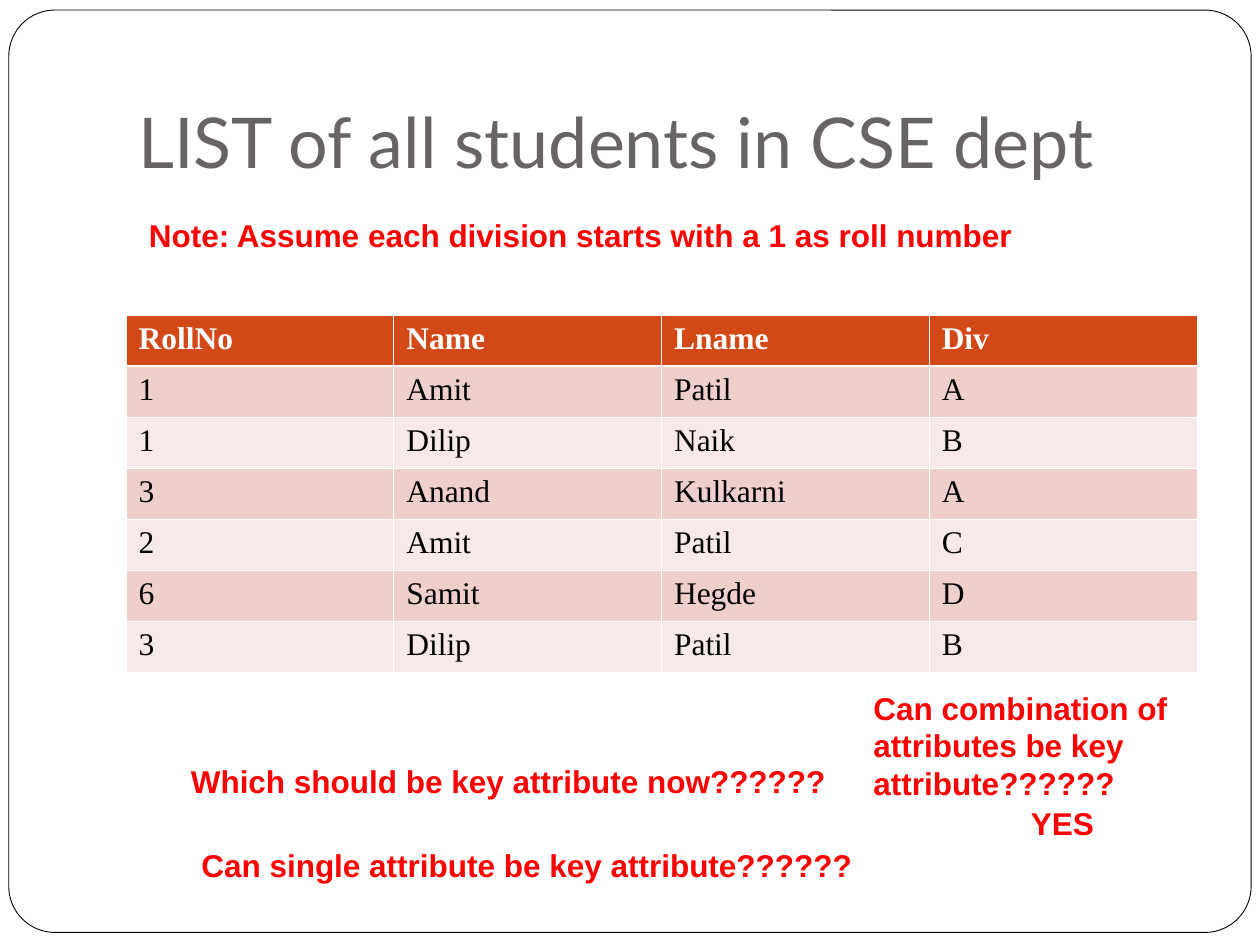
from lxml.etree import SubElement as Sub
from pptx import Presentation
from pptx.dml.color import RGBColor as RGB
from pptx.enum.shapes import MSO_SHAPE as Kind
from pptx.enum.text import MSO_ANCHOR as Anchor
from pptx.oxml.ns import qn
from pptx.util import Inches, Pt

WHITE = RGB(0xFF, 0xFF, 0xFF)
BLACK = RGB(0, 0, 0)
RED = RGB(0xFF, 0, 0)
GRAY = RGB(0x69, 0x64, 0x64)
RUST = RGB(0xD3, 0x48, 0x17)
ROSE = RGB(0xEF, 0xCF, 0xCC)
BLUSH = RGB(0xF7, 0xE9, 0xE7)

UNIT = Inches(10) // 120

TITLE = dict(name="Lato", size=Pt(40), bold=False, color=GRAY)
NOTE = dict(name="Arial", size=Pt(18), bold=True, color=RED)
HEAD = dict(name="Times New Roman", size=Pt(18), bold=True, color=WHITE)
BODY = HEAD | dict(bold=False, color=BLACK)

ROWS = [
    ("RollNo", "Name", "Lname", "Div"),
    ("1", "Amit", "Patil", "A"),
    ("1", "Dilip", "Naik", "B"),
    ("3", "Anand", "Kulkarni", "A"),
    ("2", "Amit", "Patil", "C"),
    ("6", "Samit", "Hegde", "D"),
    ("3", "Dilip", "Patil", "B"),
]

NOTES = [
    ("Note: Assume each division starts with a 1 as roll number", (13, 20, 97, 4.8)),
    ("Which should be key attribute now??????", (17, 72, 85, 4.8)),
    ("Can single attribute be key attribute??????", (18, 80, 85, 4.8)),
    ("Can combination of attributes be key attribute??????", (82, 65, 34, 12)),
    ("YES", (97, 76, 20, 4.8)),
]


def place(box):
    return [round(part * UNIT) for part in box]


def write(frame, text, look):
    para = frame.paragraphs[0]
    para.text = text
    font = para.runs[0].font
    for key, val in look.items():
        if key == "color":
            font.color.rgb = val
        else:
            setattr(font, key, val)


def add_frame(slide, box):
    shape = slide.shapes.add_shape(Kind.ROUNDED_RECTANGLE, *place(box))
    shape.adjustments[0] = 0.05
    shape.shadow.inherit = False
    shape.fill.solid()
    shape.fill.fore_color.rgb = WHITE
    shape.line.color.rgb = BLACK
    shape.line.width = Pt(0.5)


def add_text(slide, text, box, look, **form):
    frame = slide.shapes.add_textbox(*place(box)).text_frame
    for key, val in (dict(word_wrap=True) | form).items():
        setattr(frame, key, val)
    write(frame, text, look)


def add_edge(cell, side, width):
    props = cell._tc.get_or_add_tcPr()
    edge = Sub(props, qn(f"a:{side}"), w=str(Pt(width)))
    fill = Sub(edge, qn("a:solidFill"))
    Sub(fill, qn("a:srgbClr"), val=str(WHITE))


def add_list(slide, box):
    table = slide.shapes.add_table(len(ROWS), len(ROWS[0]), *place(box)).table
    for i, row in enumerate(ROWS):
        fill = RUST if i == 0 else (BLUSH, ROSE)[i % 2]
        for j, text in enumerate(row):
            cell = table.cell(i, j)
            for side in ("lnL", "lnR", "lnT", "lnB"):
                thick = (i, side) in ((0, "lnB"), (1, "lnT"))
                add_edge(cell, side, 1.47 if thick else 0.45)
            cell.fill.solid()
            cell.fill.fore_color.rgb = fill
            write(cell.text_frame, text, BODY if i else HEAD)


def main():
    deck = Presentation()
    deck.slide_width, deck.slide_height = 120 * UNIT, 90 * UNIT
    slide = deck.slides.add_slide(deck.slide_layouts[6])
    add_frame(slide, (0.84, 0.96, 118.32, 87.84))
    add_text(slide, "LIST of all students in CSE dept", (12, 3.6, 102, 15), TITLE,
             vertical_anchor=Anchor.BOTTOM, margin_bottom=Inches(0.1))
    add_list(slide, (12, 30, 102, 34))
    for text, box in NOTES:
        add_text(slide, text, box, NOTE)
    deck.save("out.pptx")


if __name__ == "__main__":
    main()
